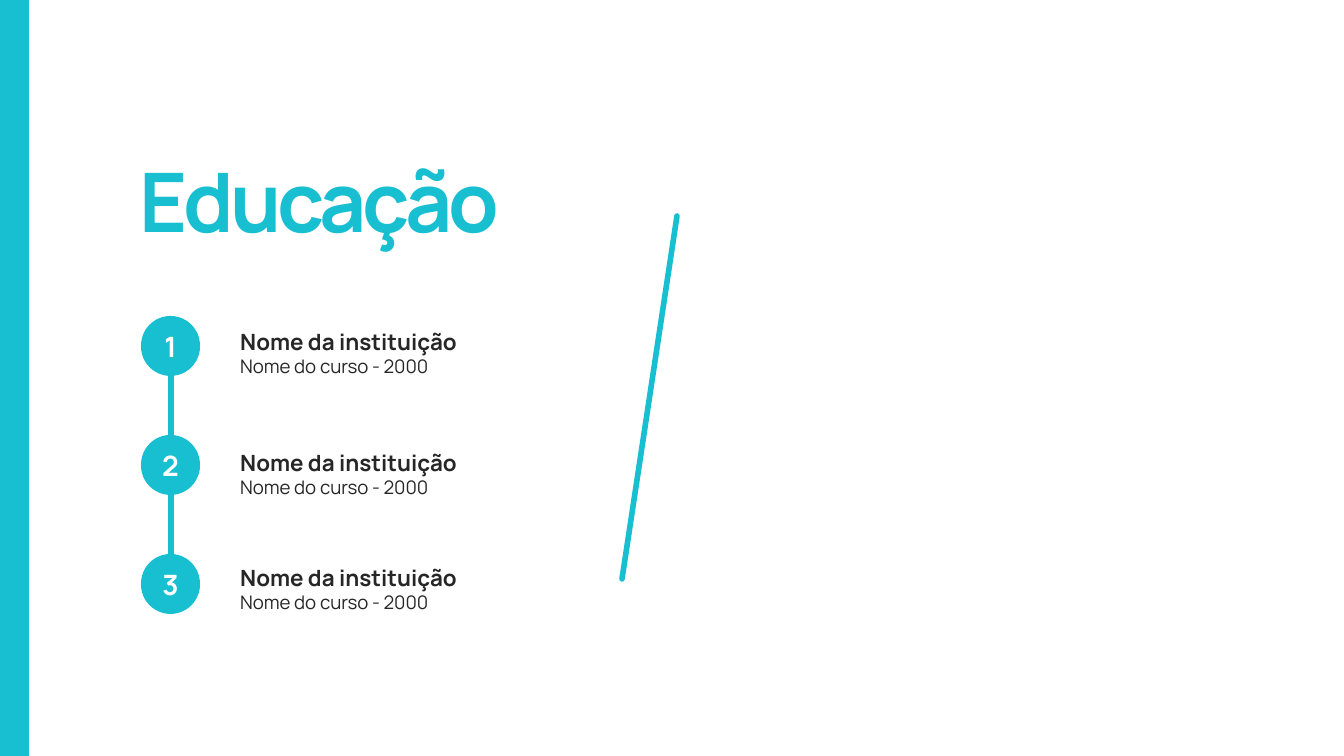
from pptx import Presentation
from pptx.dml.color import RGBColor
from pptx.enum.shapes import MSO_CONNECTOR, MSO_SHAPE
from pptx.enum.text import MSO_ANCHOR, MSO_AUTO_SIZE, PP_ALIGN
from pptx.oxml.ns import qn
from pptx.util import Emu, Pt
from lxml.etree import SubElement

PX_PER_INCH = 134.4
CYAN = RGBColor(0x18, 0xBF, 0xD1)
DARK = RGBColor(0x26, 0x26, 0x26)
WHITE = RGBColor(0xFF, 0xFF, 0xFF)

TITLE = {"size": Pt(44), "bold": True}
NUMBER = {"size": Pt(15), "bold": True}
SCHOOL = {"size": Pt(12), "bold": True}
COURSE = {"size": Pt(10), "bold": False}

CIRCLE_TOP, CIRCLE_PITCH = 316, 119
ENTRIES = [  # top of text, institution, course
    (308, "Nome da instituição", "Nome do curso - 2000"),
    (429, "Nome da instituição", "Nome do curso - 2000"),
    (544, "Nome da instituição", "Nome do curso - 2000"),
]


def px(*lengths):
    return [Emu(round(n * 914400 / PX_PER_INCH)) for n in lengths]


def write(tf, text, style, color, align=PP_ALIGN.LEFT, spacing=None):
    p = tf.paragraphs[0]
    p.alignment = align
    p.line_spacing = spacing
    r = p.add_run()
    r.text = text
    r.font.name = "Manrope"
    r.font.color.rgb = color
    for name, value in style.items():
        setattr(r.font, name, value)
    return r


def fit_frame(tf):
    """Wrap text from the top of a frame that grows with it."""
    tf.word_wrap = True
    tf.vertical_anchor = MSO_ANCHOR.TOP
    tf.auto_size = MSO_AUTO_SIZE.SHAPE_TO_FIT_TEXT


def add_title(s, text, box):
    sp = s.shapes.title
    sp.left, sp.top, sp.width, sp.height = px(*box)
    fit_frame(sp.text_frame)
    r = write(sp.text_frame, text, TITLE, CYAN)
    r.font._element.set("spc", "-220")


def add_text(s, text, box, style):
    tf = s.shapes.add_textbox(*px(*box)).text_frame
    fit_frame(tf)
    write(tf, text, style, DARK, spacing=1.5)


def add_block(s, kind, box):
    sp = s.shapes.add_shape(kind, *px(*box))
    sp.shadow.inherit = False
    sp.fill.solid()
    sp.fill.fore_color.rgb = CYAN
    sp.line.fill.background()
    return sp


def add_number(s, number, top):
    sp = add_block(s, MSO_SHAPE.ROUNDED_RECTANGLE, (141, top, 59, 60))
    sp.adjustments[0] = 0.5
    tf = sp.text_frame
    tf.margin_left = tf.margin_right = 0
    tf.vertical_anchor = MSO_ANCHOR.MIDDLE
    write(tf, str(number), NUMBER, WHITE, PP_ALIGN.CENTER)


def add_line(s, *ends, cap="flat"):
    line = s.shapes.add_connector(MSO_CONNECTOR.STRAIGHT, *px(*ends))
    line.line.color.rgb = CYAN
    line.line.width = Pt(3)
    line.line._get_or_add_ln().set("cap", cap)
    SubElement(line._element.spPr, qn("a:effectLst"))


def main():
    prs = Presentation()
    prs.slide_width, prs.slide_height = px(1344, 756)
    s = prs.slides.add_slide(prs.slide_layouts[5])

    add_block(s, MSO_SHAPE.RECTANGLE, (0, 0, 29, 756))
    add_title(s, "Educação", (126, 144, 520, 113))
    add_line(s, 171, 364, 171, 562)
    for i, (top, school, course) in enumerate(ENTRIES):
        add_number(s, i + 1, CIRCLE_TOP + i * CIRCLE_PITCH)
        add_text(s, school, (227, top, 384, 51), SCHOOL)
        add_text(s, course, (227, top + 29, 384, 44), COURSE)
    add_line(s, 622, 579, 677, 216, cap="rnd")

    prs.save("out.pptx")


if __name__ == "__main__":
    main()
